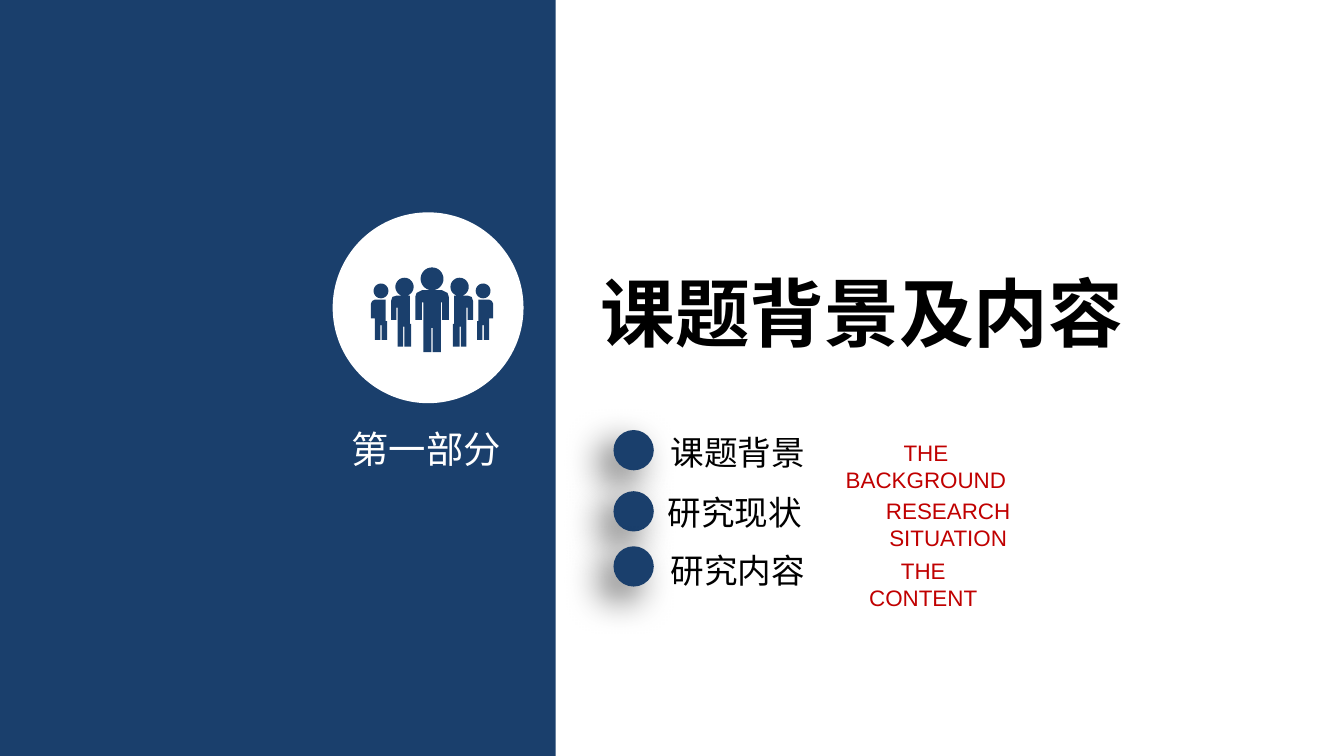
import dataclasses
import math

import lxml.etree
import pptx
import pptx.dml.color
import pptx.enum.shapes
import pptx.enum.text
import pptx.oxml.ns
import pptx.util

PX = 4572
ALIGN = pptx.enum.text.PP_ALIGN
ANCHOR = pptx.enum.text.MSO_ANCHOR
SHAPE = pptx.enum.shapes.MSO_SHAPE


@dataclasses.dataclass(frozen=True)
class Theme:
    """Colours, fonts and type sizes of the section slide."""
    navy: str = "1A3F6C"
    white: str = "FFFFFF"
    black: str = "000000"
    red: str = "C00000"
    chinese: str = "Noto Sans CJK SC"
    latin: str = "Arial"
    title: int = 40
    section: int = 20
    topic: int = 18
    caption: int = 12


THEME = Theme()
TOPICS = [
    ("课题背景", (978, 633), 640, "THE BACKGROUND", (1214, 644, 328, 60)),
    ("研究现状", (974, 722), 731, "RESEARCH SITUATION", (1220, 730, 382, 60)),
    ("研究内容", (978, 808), 813, "THE CONTENT", (1244, 819, 260, 60)),
]
ICON_UNIT = 2
MIRROR_SUM = 643
LEADER_HEAD = (321.5, 207.5, 8.5)
LEADER_BODY = [
    (309, 221), (310, 218), (314, 216), (329, 216), (333, 218), (334, 221),
    (334, 238), (329, 238), (329, 225), (328, 225), (328, 262), (322, 262),
    (322, 244), (321, 244), (321, 262), (315, 262), (315, 225), (314, 225),
    (314, 238), (309, 238),
]
SIDE_HEADS = [(301, 213.5, 6.8), (283.5, 216.5, 5.5)]
SIDE_BODIES = [
    [(306, 241), (306, 258), (301, 258), (301, 243), (300, 243), (300, 258),
     (296, 258), (296, 229), (295, 229), (295, 238), (291, 238), (291, 224),
     (292, 221), (295, 220), (305, 220), (305, 241)],
    [(288, 239), (288, 253), (284, 253), (284, 242), (283, 242), (283, 253),
     (279, 253), (279, 237), (276, 237), (276, 226), (277, 224), (279, 223),
     (287, 223), (287, 239)],
]


def px(*lengths):
    """Turn pixel lengths into EMU."""
    return [pptx.util.Emu(round(length * PX)) for length in lengths]


def paint(shape, colour):
    """Give a shape a flat fill without line or shadow."""
    shape.fill.solid()
    shape.fill.fore_color.rgb = pptx.dml.color.RGBColor.from_string(colour)
    shape.line.fill.background()
    shape.shadow.inherit = False


def add_block(shapes, kind, box, colour):
    """Add a filled preset shape."""
    block = shapes.add_shape(kind, *px(*box))
    paint(block, colour)
    return block


def add_shadow(shape):
    """Cast a soft shadow to the lower left."""
    qn = pptx.oxml.ns.qn
    effects = shape._element.spPr.find(qn("a:effectLst"))
    shadow = lxml.etree.SubElement(
        effects, qn("a:outerShdw"), blurRad=str(pptx.util.Pt(20)),
        dist=str(pptx.util.Pt(10)), dir=str(135 * 60000),
        algn="tr", rotWithShape="0")
    colour = lxml.etree.SubElement(shadow, qn("a:srgbClr"), val=THEME.black)
    lxml.etree.SubElement(colour, qn("a:alpha"), val="60000")


def write(holder, wording, size, colour, face=THEME.chinese, bold=False,
          align=ALIGN.LEFT, anchor=ANCHOR.MIDDLE, wrap=False, inset=(20, 10)):
    """Fill a text holder with one formatted paragraph."""
    frame = holder.text_frame
    frame.text = wording
    frame.word_wrap = wrap
    frame.auto_size = pptx.enum.text.MSO_AUTO_SIZE.NONE
    frame.vertical_anchor = anchor
    frame.margin_left = frame.margin_right = px(inset[0])[0]
    frame.margin_top = frame.margin_bottom = px(inset[1])[0]
    paragraph = frame.paragraphs[0]
    paragraph.alignment = align
    paragraph.line_spacing = 1.0
    font = paragraph.font
    font.size = pptx.util.Pt(size)
    font.bold = bold
    font.name = face
    font.color.rgb = pptx.dml.color.RGBColor.from_string(colour)
    qn = pptx.oxml.ns.qn
    defaults = paragraph._p.pPr.find(qn("a:defRPr"))
    lxml.etree.SubElement(defaults, qn("a:ea"), typeface=face)


def add_text(slide, box, wording, size, colour, **style):
    """Add a text box."""
    write(slide.shapes.add_textbox(*px(*box)), wording, size, colour, **style)


def head_outline(x, y, radius, steps=32):
    """Return the points of a round head."""
    angles = [2 * math.pi * step / steps for step in range(steps)]
    return [(x + radius * math.cos(a), y + radius * math.sin(a))
            for a in angles]


def add_team_icon(slide):
    """Draw the five-person team on its white disc."""
    badge = slide.shapes.add_group_shape().shapes
    add_block(badge, SHAPE.OVAL, (495, 316, 284, 284), THEME.white)
    side = [head_outline(*head) for head in SIDE_HEADS] + SIDE_BODIES
    mirrored = [[(MIRROR_SUM - x, y) for x, y in part] for part in side]
    outlines = [head_outline(*LEADER_HEAD), LEADER_BODY] + side + mirrored
    contours = [[px(x * ICON_UNIT, y * ICON_UNIT) for x, y in part]
                for part in outlines]
    builder = badge.build_freeform(*contours[0][0])
    builder.add_line_segments(contours[0][1:])
    for contour in contours[1:]:
        builder.move_to(*contour[0])
        builder.add_line_segments(contour[1:])
    paint(builder.convert_to_shape(), THEME.navy)


def add_topic(slide, topic, topic_at, dot_top, caption, caption_box):
    """Add one topic with its dot and English caption."""
    add_text(slide, (*topic_at, 242, 80), topic, THEME.topic, THEME.black)
    add_text(slide, caption_box, caption, THEME.caption, THEME.red,
             face=THEME.latin, align=ALIGN.CENTER, anchor=ANCHOR.TOP,
             wrap=True)
    dot = add_block(slide.shapes, SHAPE.OVAL, (913, dot_top, 60, 60),
                    THEME.navy)
    add_shadow(dot)


def main():
    """Build the section slide."""
    deck = pptx.Presentation()
    deck.slide_width, deck.slide_height = px(2000, 1125)
    slide = deck.slides.add_slide(deck.slide_layouts[5])
    add_block(slide.shapes, SHAPE.RECTANGLE, (0, 0, 827, 1125), THEME.navy)
    title = slide.shapes.title
    title.left, title.top, title.width, title.height = px(874, 387, 828, 154)
    write(title, "课题背景及内容", THEME.title, THEME.black, bold=True)
    add_text(slide, (523, 634, 272, 68), "第一部分", THEME.section,
             THEME.white, inset=(0, 0))
    add_team_icon(slide)
    for topic in TOPICS:
        add_topic(slide, *topic)
    deck.save("out.pptx")


if __name__ == "__main__":
    main()
